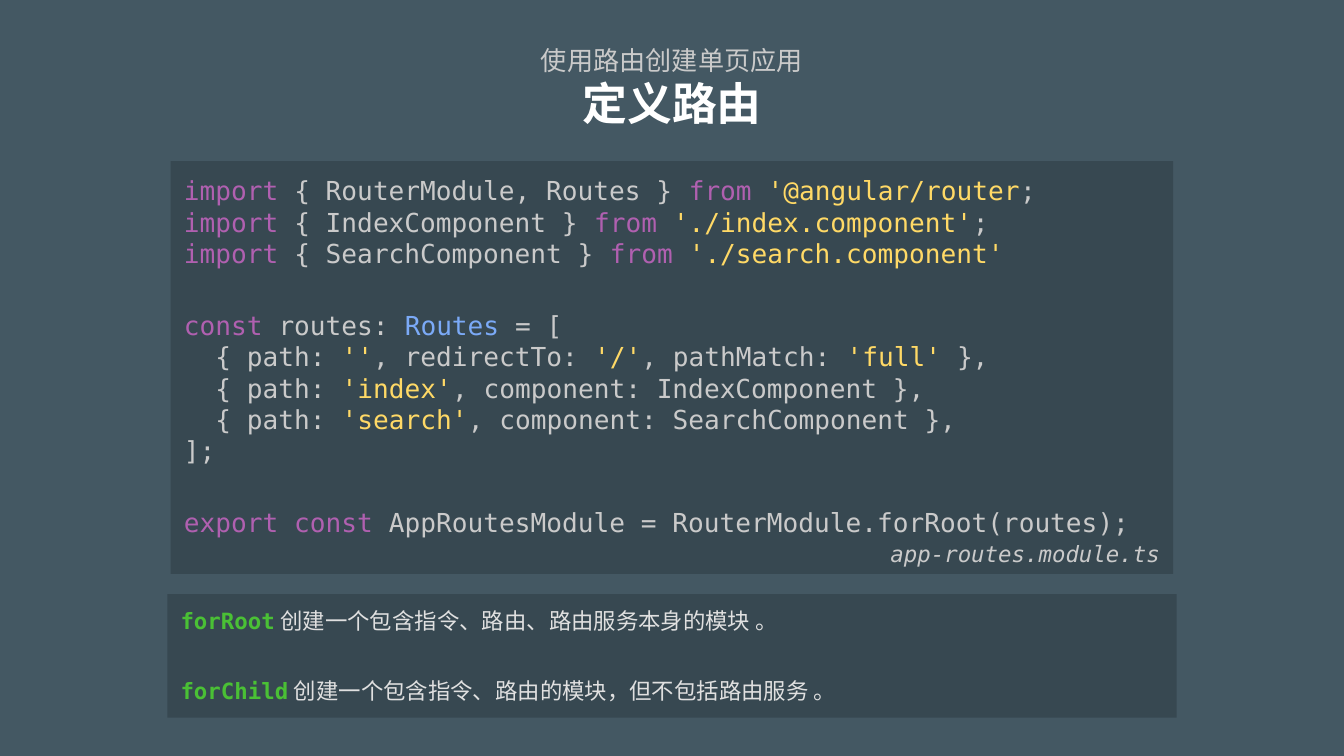
from pptx import Presentation
from pptx.dml.color import RGBColor
from pptx.enum.shapes import MSO_SHAPE
from pptx.enum.text import MSO_ANCHOR, PP_ALIGN
from pptx.util import Inches, Pt

WIDTH = 10
HEIGHT = WIDTH * 9 / 16
BACKGROUND, PANEL = "445863", "374851"
MONO, SANS = "DejaVu Sans Mono", "Roboto"

# Text styles: font, size, colour, bold, italic
STYLES = {
    "subtitle": (SANS, 14, "CACACA", False, False),
    "title": (SANS, 24, "FFFFFF", True, False),
    "keyword": (MONO, 14, "B060B0", False, False),
    "plain": (MONO, 14, "CACACA", False, False),
    "string": (MONO, 14, "FFD966", False, False),
    "type": (MONO, 14, "7BAAF7", False, False),
    "file": (MONO, 12, "CACACA", False, True),
    "term": (MONO, 12, "4AC035", True, False),
    "note": (SANS, 12, "E0E0E0", False, False),
}


def import_line(names, source, ending):
    return [("keyword", "import"), ("plain", f" {{ {names} }} "),
            ("keyword", "from "), ("string", source), ("plain", ending)]


def route_line(address, component):
    return [("plain", "  { path: "), ("string", address),
            ("plain", f", component: {component} }},")]


# Content: each line is a list of (style, text)
HEADING = [[("subtitle", "使用路由创建单页应用")], [("title", "定义路由")]]
EMPTY = [("plain", "")]
CODE = [
    import_line("RouterModule, Routes", "'@angular/router", ";"),
    import_line("IndexComponent", "'./index.component'", ";"),
    import_line("SearchComponent", "'./search.component'", ""),
    EMPTY,
    [("keyword", "const"), ("plain", " routes: "), ("type", "Routes"), ("plain", " = [")],
    [("plain", "  { path: "), ("string", "''"), ("plain", ", redirectTo: "),
     ("string", "'/'"), ("plain", ", pathMatch: "), ("string", "'full'"), ("plain", " },")],
    route_line("'index'", "IndexComponent"),
    route_line("'search'", "SearchComponent"),
    [("plain", "];")],
    EMPTY,
    [("keyword", "export const"), ("plain", " AppRoutesModule = RouterModule.forRoot(routes);")],
]
FILE_NAME = [[("file", "app-routes.module.ts")]]
NOTES = [
    [("term", "forRoot"), ("note", " 创建一个包含指令、路由、路由服务本身的模块 。")],
    [("term", "forChild"), ("note", " 创建一个包含指令、路由的模块，但不包括路由服务 。")],
]


def colour(value):
    return RGBColor.from_string(value)


def add_box(page, top, width, height, left=None, fill=None, anchor=MSO_ANCHOR.TOP):
    """Add a text area, centred on the page unless left is given."""
    left = (WIDTH - width) / 2 if left is None else left
    place = [Inches(length) for length in (left, top, width, height)]
    if fill:
        box = page.shapes.add_shape(MSO_SHAPE.RECTANGLE, *place)
        box.shadow.inherit = False
        box.fill.solid()
        box.fill.fore_color.rgb = colour(fill)
        box.line.fill.background()
    else:
        box = page.shapes.add_textbox(*place)
    frame = box.text_frame
    frame.word_wrap = True
    frame.vertical_anchor = anchor
    frame.margin_left = frame.margin_right = Inches(0.1)
    frame.margin_top = frame.margin_bottom = Inches(0.1)
    return frame


def write(para, lines, align=PP_ALIGN.LEFT):
    """Write styled lines into one paragraph, split by line breaks."""
    para.alignment = align
    for number, line in enumerate(lines):
        if number:
            para.add_line_break()
        for style, text in line:
            span = para.add_run()
            span.text = text
            font = span.font
            font.name, size, shade, font.bold, font.italic = STYLES[style]
            font.size = Pt(size)
            font.color.rgb = colour(shade)


def main():
    deck = Presentation()
    deck.slide_width, deck.slide_height = Inches(WIDTH), Inches(HEIGHT)
    page = deck.slides.add_slide(deck.slide_layouts[6])
    page.background.fill.solid()
    page.background.fill.fore_color.rgb = colour(BACKGROUND)

    # Heading
    heading = add_box(page, 0.33, 9.32, 0.63, anchor=MSO_ANCHOR.MIDDLE)
    write(heading.paragraphs[0], HEADING, PP_ALIGN.CENTER)

    # Code panel with its file name in the lower right corner
    code = add_box(page, 1.2, 7.46, 3.07, fill=PANEL)
    write(code.paragraphs[0], CODE)
    label = add_box(page, 3.92, 2.92, 0.44, left=5.81)
    write(label.paragraphs[0], FILE_NAME, PP_ALIGN.RIGHT)

    # Explanations
    notes = add_box(page, 4.42, 7.51, 0.92, fill=PANEL, anchor=MSO_ANCHOR.MIDDLE)
    first, second = notes.paragraphs[0], notes.add_paragraph()
    first.space_after = Pt(16)
    second.line_spacing = 1.5
    for para, line in zip((first, second), NOTES):
        write(para, [line])

    deck.save("out.pptx")


if __name__ == "__main__":
    main()
